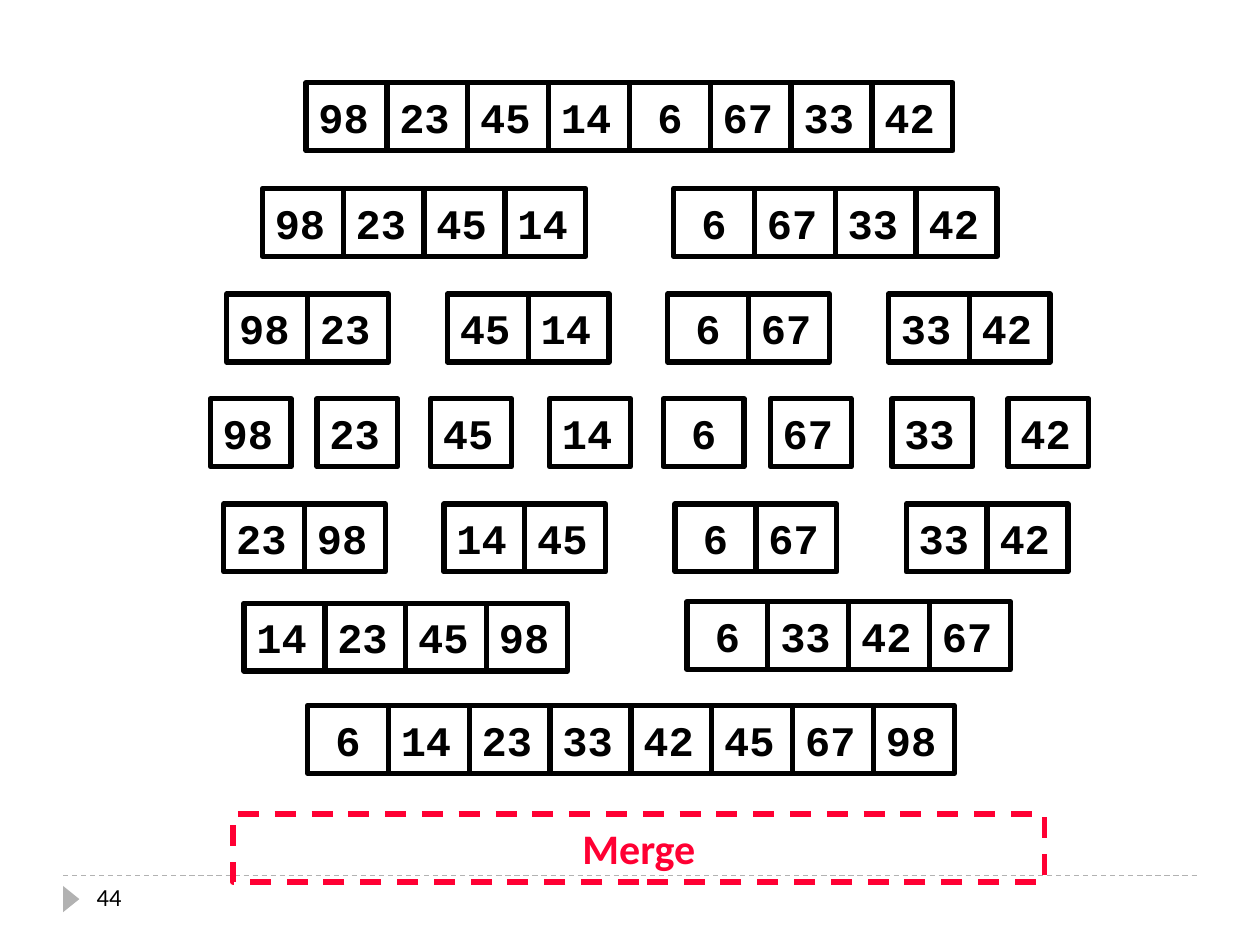
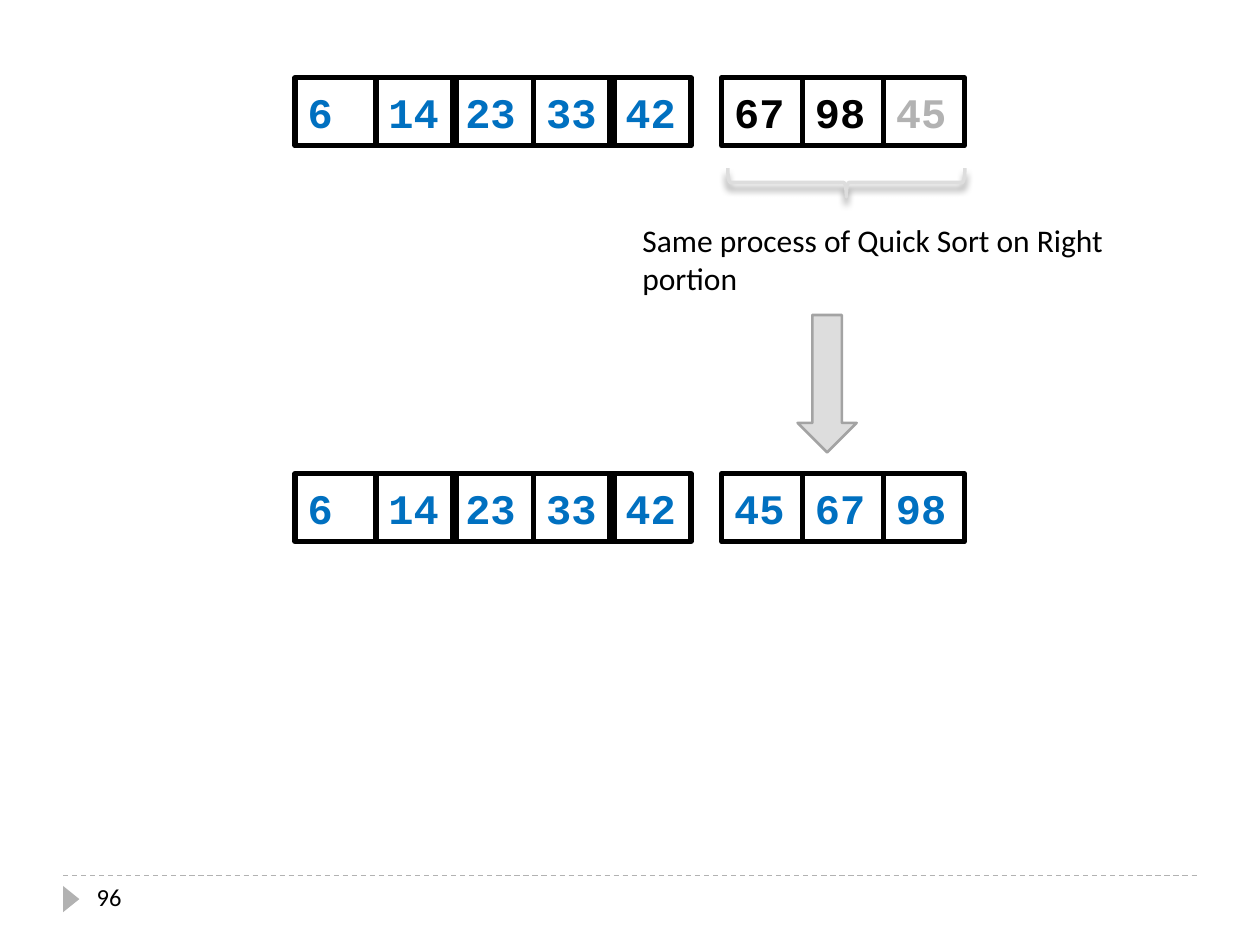
from lxml import etree
from pptx import Presentation
from pptx import util as u
from pptx.dml import color
from pptx.enum import dml, shapes, text
from pptx.oxml import ns

BLACK, BLUE, RED = "000000", "0070C0", "FF0033"
GREY, PALE, EDGE = "B2B2B2", "DDDDDD", "A3A3A3"
WIDE, HIGH = 25.4, 19.05
CELL_W, CELL_H = 1.63, 1.37
KIND = shapes.MSO_SHAPE


def rgb(code):
    """Turn a hex string into a colour."""
    return color.RGBColor.from_string(code)


def place(box):
    """Turn a box in centimetres into lengths."""
    return [u.Cm(side) for side in box]


def rule(line, code, width, dash=False):
    """Format a line."""
    line.color.rgb = rgb(code)
    line.width = u.Pt(width)
    if dash:
        line.dash_style = dml.MSO_LINE.DASH


def draw(slide, kind, box, fill=None, edge=None, width=3, dash=False):
    """Add a preset shape without a shadow."""
    shape = slide.shapes.add_shape(kind, *place(box))
    shape.shadow.inherit = False
    if fill:
        shape.fill.solid()
        shape.fill.fore_color.rgb = rgb(fill)
    else:
        shape.fill.background()
    if edge:
        rule(shape.line, edge, width, dash)
    else:
        shape.line.fill.background()
    return shape


def write(shape, words, size, code=BLACK, face="Calibri", bold=False, mid=False):
    """Put one paragraph into a shape."""
    frame = shape.text_frame
    frame.word_wrap = True
    par = frame.paragraphs[0]
    par.text = words
    par.alignment = text.PP_ALIGN.CENTER if mid else text.PP_ALIGN.LEFT
    par.font.name, par.font.size, par.font.bold = face, u.Pt(size), bold
    par.font.color.rgb = rgb(code)


def label(slide, box, words, size):
    """Add a plain text box."""
    write(slide.shapes.add_textbox(*place(box)), words, size)


def cells(slide, left, top, values, mid, code=BLACK, last=None):
    """Draw a run of touching number cells from its top left corner."""
    values = values.split()
    for i, value in enumerate(values):
        box = left + i * CELL_W, top, CELL_W, CELL_H
        cell = draw(slide, KIND.RECTANGLE, box, edge=BLACK)
        ink = last if last and i == len(values) - 1 else code
        write(cell, value, 24, ink, "Courier New", True, value == mid)


def footer(slide, box, number):
    """Draw the dashed rule, the marker and the slide number."""
    left, top, width, height = box
    ends = place((left, top, left + width, top))
    line = slide.shapes.add_connector(shapes.MSO_CONNECTOR.STRAIGHT, *ends)
    rule(line.line, GREY, 0.75, True)
    etree.SubElement(line._element.spPr, ns.qn("a:effectLst"))
    mark = draw(slide, KIND.ISOSCELES_TRIANGLE,
                (left - 0.1, top + 0.31, 0.53, 0.33), fill=GREY)
    mark.rotation = 90
    label(slide, (left + 0.43, top, 5.5, height), number, 14)


def brace(slide, box):
    """Draw a downward brace with a soft shadow across a wide box."""
    left, top, width, height = box
    shift = (width - height) / 2
    shape = draw(slide, KIND.RIGHT_BRACE,
                 (left + shift, top - shift, height, width), edge=PALE, width=2)
    shape.rotation = 90
    soft = etree.SubElement(
        shape._element.spPr.find(ns.qn("a:effectLst")), ns.qn("a:outerShdw"),
        blurRad=str(u.Pt(4)), dist=str(u.Pt(3.4)), dir="5400000", rotWithShape="0")
    ink = etree.SubElement(soft, ns.qn("a:srgbClr"), val=BLACK)
    etree.SubElement(ink, ns.qn("a:alpha"), val="40000")


def merge(slide, box):
    """Draw the split and merge levels with the caption below them."""
    left, top, width, height = box
    levels = [
        (0, [(1.93, "98 23 45 14 6 67 33 42")]),
        (2.13, [(1.05, "98 23 45 14"), (9.34, "6 67 33 42")]),
        (4.26, [(0.33, "98 23"), (4.78, "45 14"), (9.22, "6 67"), (13.67, "33 42")]),
        (6.37, [(0, "98"), (2.15, "23"), (4.44, "45"), (6.84, "14"),
                (9.13, "6"), (11.29, "67"), (13.74, "33"), (16.08, "42")]),
        (8.49, [(0.27, "23 98"), (4.71, "14 45"), (9.37, "6 67"), (14.03, "33 42")]),
        (10.49, [(0.68, "14 23 45 98")]),
        (10.46, [(9.61, "6 33 42 67")]),
        (12.55, [(1.96, "6 14 23 33 42 45 67 98")]),
    ]
    for down, runs in levels:
        for over, values in runs:
            cells(slide, left + over, top + down, values, "6")
    note = draw(slide, KIND.RECTANGLE,
                (left + 0.46, top + height - CELL_H, 16.36, CELL_H),
                edge=RED, dash=True)
    write(note, "Merge", 24, RED, bold=True, mid=True)


def quick(slide, box):
    """Draw the array before and after sorting its right portion."""
    left, top, width, height = box
    right = left + 8.6
    states = [(top, "67 98 45", BLACK, GREY),
              (top + height - CELL_H, "45 67 98", BLUE, None)]
    for row, values, code, last in states:
        for over, done in [(0, "6 14"), (3.18, "23 33"), (6.35, "42")]:
            cells(slide, left + over, row, done, "42", BLUE)
        cells(slide, right, row, values, None, code, last)
    brace(slide, (right + 0.12, top + 1.82, 4.78, 0.58))
    label(slide, (left + 6.75, top + 2.77, 10.52, 1.8),
          "Same process of Quick Sort on Right portion", 18)
    draw(slide, KIND.DOWN_ARROW, (right + 1.53, top + 4.78, 1.19, 2.77),
         PALE, EDGE, 1.5)


def main():
    """Build and save the slides."""
    deck = Presentation()
    deck.slide_width, deck.slide_height = place((WIDE, HIGH))
    pages = [("44", merge, (4.24, 1.67, 17.71, 16.11)),
             ("96", quick, (5.95, 1.57, 13.49, 9.35))]
    for number, build, box in pages:
        slide = deck.slides.add_slide(deck.slide_layouts[6])
        footer(slide, (1.27, 17.65, 22.86, 1.02), number)
        build(slide, box)
    deck.save("out.pptx")


if __name__ == "__main__":
    main()
